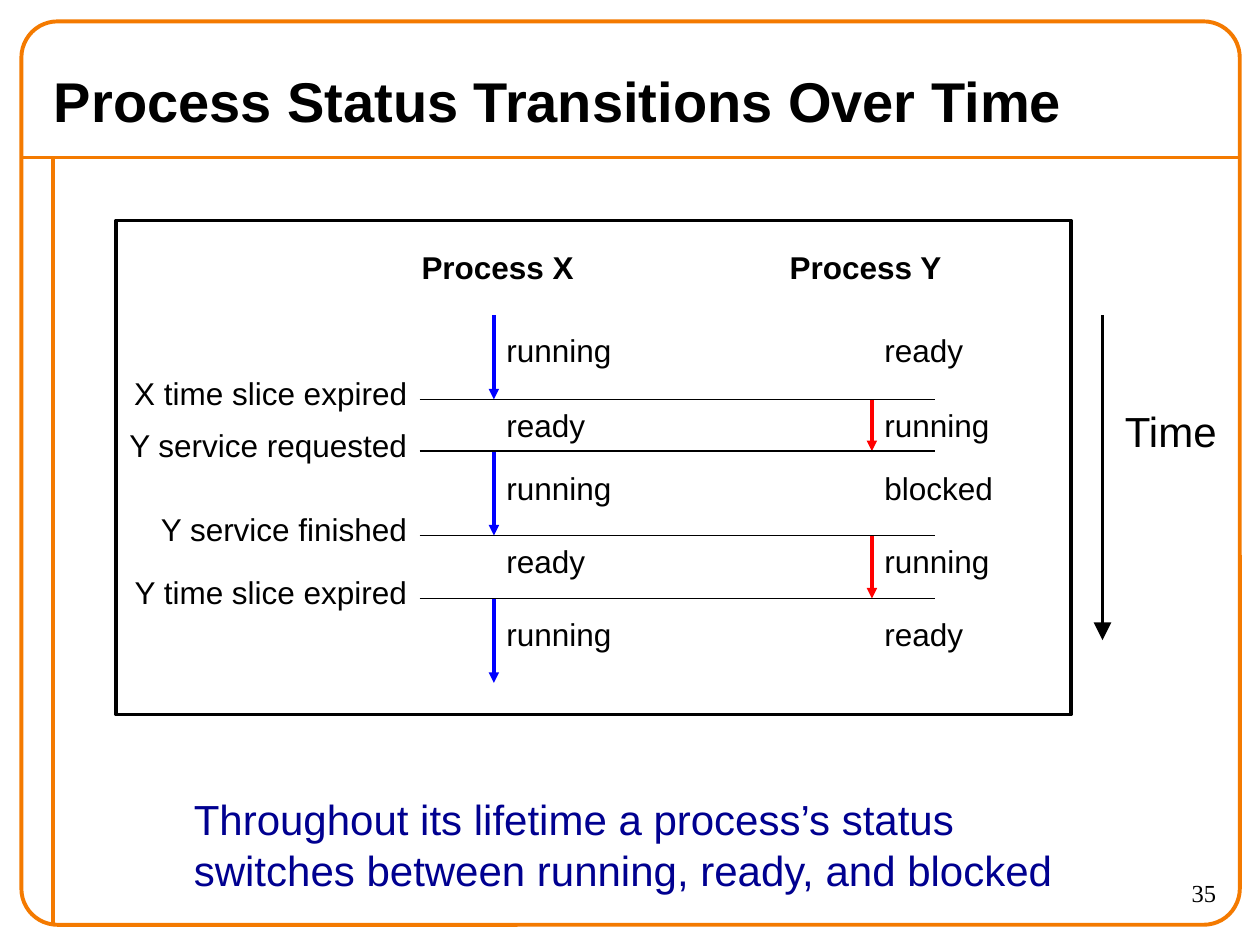
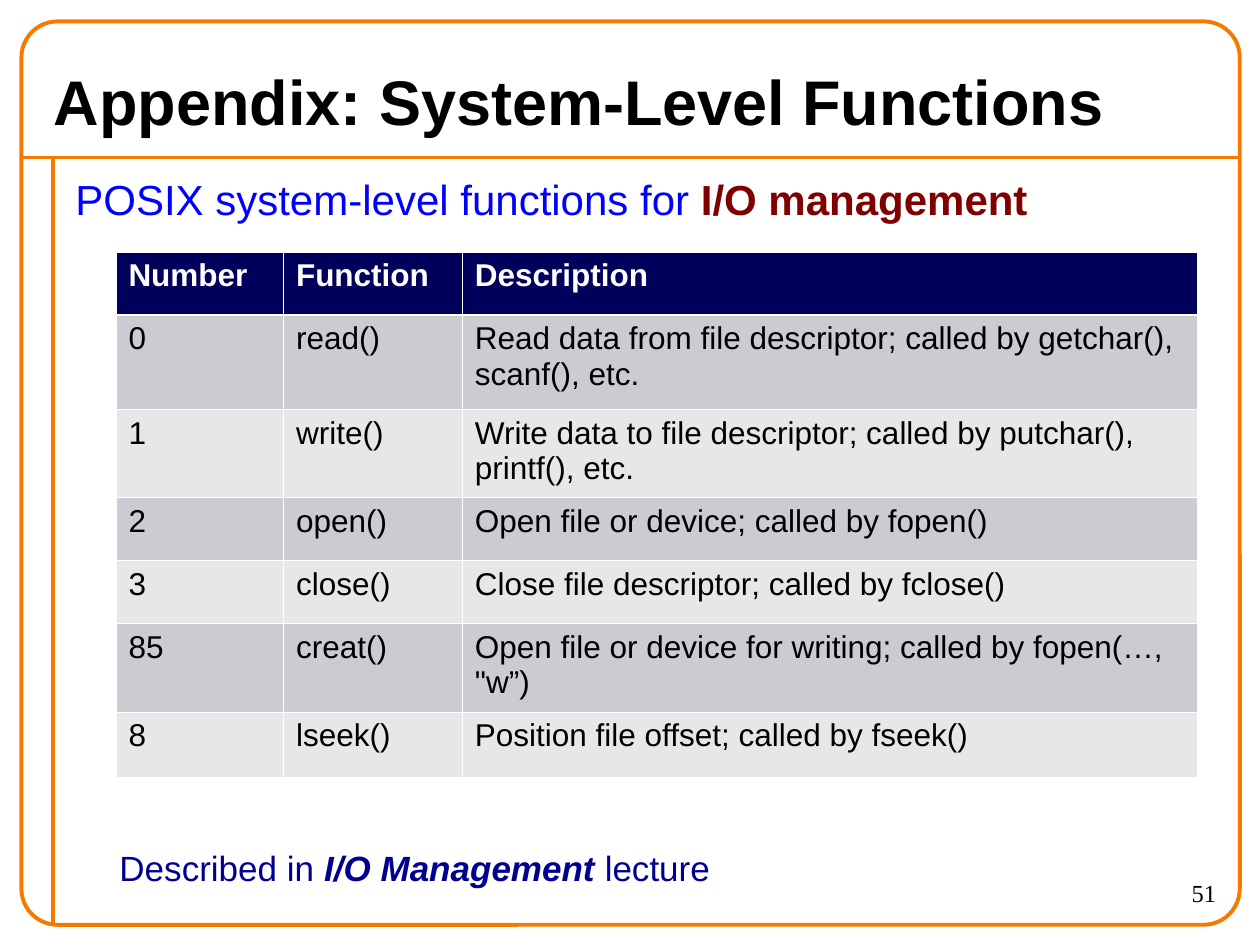
"""Build two slides on process states and system-level I/O functions."""
from dataclasses import dataclass

from lxml import etree
from pptx import Presentation
from pptx.dml.color import RGBColor
from pptx.enum import shapes, text
from pptx.oxml import ns
from pptx.util import Inches, Pt


@dataclass(frozen=True)
class Theme:
    body_font: str = "Arial"
    number_font: str = "Times New Roman"
    frame: str = "F47A00"
    black: str = "000000"
    white: str = "FFFFFF"
    blue: str = "0000FF"
    red: str = "FF0000"
    navy: str = "000090"
    maroon: str = "800000"
    header: str = "00005C"
    bands: tuple = ("CBCBD2", "E7E7EA")
    lead_size: int = 24
    note_size: int = 20
    label_size: int = 18
    number_size: int = 14
    frame_width: float = 2.25
    arrow_width: float = 2
    event_width: float = 1
    grid_width: float = 0.45
    header_rule: float = 1.47


THEME = Theme()
LEFT, CENTER, RIGHT = text.PP_ALIGN.LEFT, text.PP_ALIGN.CENTER, text.PP_ALIGN.RIGHT

TIMES = [2.5, 3.17, 3.58, 4.25, 4.75, 5.42]
EVENTS = ["X time slice expired", "Y service requested",
          "Y service finished", "Y time slice expired"]
STATUS_TOPS = [2.58, 3.17, 3.67, 4.25, 4.83]
PROCESSES = [
    {"name": "Process X", "center": 3.95, "axis": 3.92, "color": THEME.blue,
     "statuses": ["running", "ready", "running", "ready", "running"]},
    {"name": "Process Y", "center": 6.87, "axis": 6.92, "color": THEME.red,
     "statuses": ["ready", "running", "blocked", "running", "ready"]},
]
SUMMARY = ["Throughout its lifetime a process’s status",
           "switches between running, ready, and blocked"]

LEAD = [("POSIX system-level functions for ", {}),
        ("I/O management", {"color": THEME.maroon, "bold": True})]
FUNCTIONS = [
    ("Number", "Function", "Description"),
    ("0", "read()", "Read data from file descriptor; called by getchar(), scanf(), etc."),
    ("1", "write()", "Write data to file descriptor; called by putchar(), printf(), etc."),
    ("2", "open()", "Open file or device; called by fopen()"),
    ("3", "close()", "Close file descriptor; called by fclose()"),
    ("85", "creat()", "Open file or device for writing; called by fopen(…, \"w”)"),
    ("8", "lseek()", "Position file offset; called by fseek()"),
]
COLUMN_WIDTHS = [1.33, 1.42, 5.83]
ROW_HEIGHTS = [0.5, 0.75, 0.7, 0.5, 0.5, 0.7, 0.52]
NOTE = [("Described in ", {}),
        ("I/O Management ", {"bold": True, "italic": True}),
        ("lecture", {})]


def style_font(font, size=None, color=None, name=None, bold=None, italic=None):
    if size:
        font.size = Pt(size)
    if color:
        font.color.rgb = RGBColor.from_string(color)
    if name:
        font.name = name
    font.bold, font.italic = bold, italic


def add_text(slide, box, lines, size, color=THEME.black, align=LEFT,
             anchor=text.MSO_ANCHOR.TOP, name=THEME.body_font, bold=None):
    """Add a text box; each line is a string or a list of (text, style) runs."""
    frame = slide.shapes.add_textbox(*map(Inches, box)).text_frame
    frame.word_wrap = True
    frame.vertical_anchor = anchor
    for index, line in enumerate(lines):
        paragraph = frame.add_paragraph() if index else frame.paragraphs[0]
        paragraph.alignment = align
        style_font(paragraph.font, size, color, name, bold)
        for words, style in [(line, {})] if isinstance(line, str) else line:
            run = paragraph.add_run()
            run.text = words
            if style:
                style_font(run.font, **style)


def add_line(slide, start, end, color, width, head=None):
    line = slide.shapes.add_connector(shapes.MSO_CONNECTOR.STRAIGHT,
                                      *map(Inches, (*start, *end)))
    line.line.color.rgb = RGBColor.from_string(color)
    line.line.width = Pt(width)
    if head:
        etree.SubElement(line.line._get_or_add_ln(), ns.qn("a:tailEnd"),
                         type="triangle", w=head, len=head)
    etree.SubElement(line._element.spPr, ns.qn("a:effectLst"))


def add_outline(slide, kind, box, color, width):
    shape = slide.shapes.add_shape(kind, *map(Inches, box))
    shape.shadow.inherit = False
    shape.fill.background()
    shape.line.color.rgb = RGBColor.from_string(color)
    shape.line.width = Pt(width)
    return shape


def add_slide(presentation, title, title_size, number):
    slide = presentation.slides.add_slide(presentation.slide_layouts[6])
    add_line(slide, (0.17, 1.25), (9.83, 1.25), THEME.frame, THEME.frame_width)
    add_line(slide, (0.42, 1.25), (0.42, 7.33), THEME.frame, THEME.frame_width)
    border = add_outline(slide, shapes.MSO_SHAPE.ROUNDED_RECTANGLE,
                         (0.17, 0.17, 9.67, 7.17), THEME.frame, THEME.frame_width)
    border.adjustments[0] = 0.04
    add_text(slide, (0.33, 0.42, 9.33, 0.75), [title], title_size,
             anchor=text.MSO_ANCHOR.MIDDLE, bold=True)
    add_text(slide, (8.75, 6.92, 1, 0.42), [number], THEME.number_size,
             align=RIGHT, name=THEME.number_font)
    return slide


def add_timeline(slide):
    add_outline(slide, shapes.MSO_SHAPE.RECTANGLE, (0.92, 1.75, 7.58, 3.92),
                THEME.black, THEME.arrow_width)
    for process in PROCESSES:
        axis = process["axis"]
        add_text(slide, (process["center"] - 1, 1.92, 2, 0.4), [process["name"]],
                 THEME.label_size, align=CENTER, bold=True)
        for status, top, start, end in zip(process["statuses"], STATUS_TOPS,
                                           TIMES, TIMES[1:]):
            add_text(slide, (axis, top, 1.25, 0.4), [status], THEME.label_size)
            if status == "running":
                add_line(slide, (axis, start), (axis, end), process["color"],
                         THEME.arrow_width, "med")
    for event, time in zip(EVENTS, TIMES[1:]):
        add_line(slide, (3.33, time), (7.42, time), THEME.black, THEME.event_width)
        add_text(slide, (0.67, time - 0.25, 2.66, 0.4), [event], THEME.label_size,
                 align=RIGHT)
    add_line(slide, (8.75, 2.5), (8.75, 5.08), THEME.black, THEME.arrow_width, "lg")
    add_text(slide, (8.83, 3.17, 1.1, 0.5), ["Time"], THEME.lead_size)


def add_border(cell, side, width):
    line = etree.SubElement(cell._tc.get_or_add_tcPr(), ns.qn(f"a:ln{side}"),
                            w=str(Pt(width)))
    fill = etree.SubElement(line, ns.qn("a:solidFill"))
    etree.SubElement(fill, ns.qn("a:srgbClr"), val=THEME.white)


def add_function_table(slide):
    box = (0.92, 2, sum(COLUMN_WIDTHS), sum(ROW_HEIGHTS))
    table = slide.shapes.add_table(len(FUNCTIONS), len(COLUMN_WIDTHS),
                                   *map(Inches, box)).table
    for column, width in zip(table.columns, COLUMN_WIDTHS):
        column.width = Inches(width)
    for row_index, (row, values) in enumerate(zip(table.rows, FUNCTIONS)):
        row.height = Inches(ROW_HEIGHTS[row_index])
        is_header = row_index == 0
        fill = THEME.header if is_header else THEME.bands[(row_index - 1) % 2]
        rules = {"L": THEME.grid_width, "R": THEME.grid_width,
                 "T": THEME.header_rule if row_index == 1 else THEME.grid_width,
                 "B": THEME.header_rule if is_header else THEME.grid_width}
        for cell, value in zip(row.cells, values):
            for side, width in rules.items():
                add_border(cell, side, width)
            cell.fill.solid()
            cell.fill.fore_color.rgb = RGBColor.from_string(fill)
            cell.text = value
            style_font(cell.text_frame.paragraphs[0].font, THEME.label_size,
                       THEME.white if is_header else THEME.black,
                       THEME.body_font, is_header)


def main():
    presentation = Presentation()
    presentation.slide_width, presentation.slide_height = Inches(10), Inches(7.5)

    slide = add_slide(presentation, "Process Status Transitions Over Time", 32, "35")
    add_timeline(slide)
    add_text(slide, (1.44, 6.25, 7.3, 0.9), SUMMARY, THEME.lead_size, THEME.navy)

    slide = add_slide(presentation, "Appendix: System-Level Functions", 36, "51")
    add_text(slide, (0.5, 1.33, 9.08, 0.75), [LEAD], THEME.lead_size, THEME.blue)
    add_function_table(slide)
    add_text(slide, (0.85, 6.67, 5.2, 0.44), [NOTE], THEME.note_size, THEME.navy)

    presentation.save("out.pptx")


if __name__ == "__main__":
    main()
